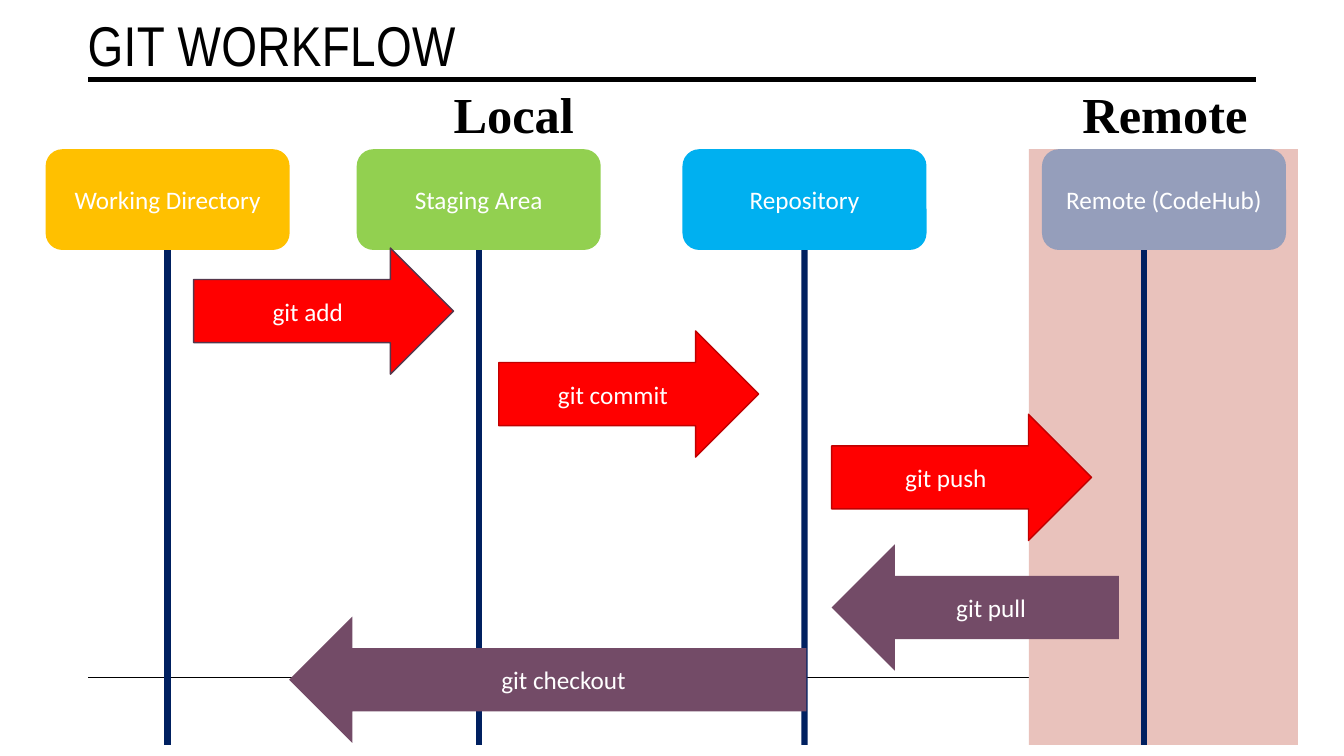
from lxml import etree
from pptx import Presentation
from pptx.dml.color import RGBColor
from pptx.enum.shapes import MSO_CONNECTOR, MSO_SHAPE
from pptx.enum.text import MSO_ANCHOR, PP_ALIGN
from pptx.oxml.ns import qn
from pptx.util import Cm, Pt

STRAIGHT = MSO_CONNECTOR.STRAIGHT
RECTANGLE = MSO_SHAPE.RECTANGLE
ROUNDED = MSO_SHAPE.ROUNDED_RECTANGLE
RIGHT_ARROW = MSO_SHAPE.RIGHT_ARROW
LEFT_ARROW = MSO_SHAPE.LEFT_ARROW
MIDDLE = MSO_ANCHOR.MIDDLE
CENTER = PP_ALIGN.CENTER
BOTTOM_SIDE = 2

COLORS = {
    "text": "000000",
    "label": "FFFFFF",
    "working": "FFC000",
    "staging": "92D050",
    "repository": "00B0F0",
    "remote": "959EBB",
    "remote_zone": "E9C2BC",
    "lifeline": "002060",
    "forward": "FF0000",
    "forward_edge": "C00000",
    "add_edge": "55374C",
    "backward": "734B67",
}

LANE_WIDTH, LANE_HEIGHT = 6.15, 2.54
ARROW_HEIGHT = 3.18

# label, colour, left, distance of the lifeline from the box's middle
LANES = [
    ("Working Directory", "working", 1.15, 0),
    ("Staging Area", "staging", 8.99, 0),
    ("Repository", "repository", 17.2, 0),
    ("Remote (CodeHub)", "remote", 26.26, -0.5),
]

# label, shape, fill, edge, left, top, width
COMMANDS = [
    ("git add", RIGHT_ARROW, "forward", "add_edge", 4.88, 6.25, 6.55),
    ("git commit", RIGHT_ARROW, "forward", "forward_edge", 12.57, 8.34, 6.55),
    ("git push", RIGHT_ARROW, "forward", "forward_edge", 20.96, 10.44, 6.55),
    ("git pull", LEFT_ARROW, "backward", None, 20.96, 13.72, 7.24),
    ("git checkout", LEFT_ARROW, "backward", None, 7.29, 15.54, 13.03),
]


def color(name):
    return RGBColor.from_string(COLORS[name])


def style_font(paragraph, name, size, color_name, bold=False):
    font = paragraph.font
    font.name, font.size, font.bold = name, Pt(size), bold
    font.color.rgb = color(color_name)


def add_line(slide, x1, y1, x2, y2, color_name, width):
    line = slide.shapes.add_connector(STRAIGHT, Cm(x1), Cm(y1), Cm(x2), Cm(y2))
    line.line.color.rgb = color(color_name)
    line.line.width = Pt(width)
    etree.SubElement(line._element.spPr, qn("a:effectLst"))
    return line


def add_box(slide, kind, left, top, width, height, fill, edge=None, label=None):
    """Add a filled shape with an optional outline and centred label."""
    shape = slide.shapes.add_shape(kind, Cm(left), Cm(top), Cm(width), Cm(height))
    shape.shadow.inherit = False
    shape.fill.solid()
    shape.fill.fore_color.rgb = color(fill)
    if edge:
        shape.line.color.rgb = color(edge)
        shape.line.width = Pt(1)
    else:
        shape.line.fill.background()
    if label:
        shape.text_frame.word_wrap = True
        shape.text_frame.vertical_anchor = MIDDLE
        paragraph = shape.text_frame.paragraphs[0]
        paragraph.text = label
        paragraph.alignment = CENTER
        style_font(paragraph, "Calibri", 18, "label")
    return shape


def add_text(slide, left, top, width, height, text, font, size, bold=False):
    box = slide.shapes.add_textbox(Cm(left), Cm(top), Cm(width), Cm(height))
    box.text_frame.word_wrap = True
    paragraph = box.text_frame.paragraphs[0]
    paragraph.text = text
    style_font(paragraph, font, size, "text", bold)
    return paragraph


def add_header(slide, left, top, width):
    title = add_text(slide, left, top + 0.15, width, 1.8,
                     "GIT WORKFLOW", "Arial Narrow", 40)
    title.runs[0]._r.get_or_add_rPr().set("spc", "30")
    rule_left, rule_right = left + 0.27, left + width
    add_line(slide, rule_left, top + 2, rule_right, top + 2, "text", 3.5)
    add_line(slide, rule_left, top + 17.07, rule_right, top + 17.07, "text", 1)


def add_lanes(slide, top, height):
    """Add the remote zone, then each lane's box with its lifeline."""
    add_box(slide, RECTANGLE, 25.93, top, 6.78, height, "remote_zone")
    for label, fill, left, offset in LANES:
        box = add_box(slide, ROUNDED, left, top, LANE_WIDTH, LANE_HEIGHT,
                      fill, label=label)
        x = left + LANE_WIDTH / 2 + offset
        lifeline = add_line(slide, x, top + LANE_HEIGHT, x, top + height,
                            "lifeline", 4.5)
        if not offset:
            lifeline.begin_connect(box, BOTTOM_SIDE)


def add_commands(slide):
    for label, kind, fill, edge, left, top, width in COMMANDS:
        add_box(slide, kind, left, top, width, ARROW_HEIGHT, fill, edge, label)


def add_headings(slide, top):
    for text, left, width in [("Local", 11.18, 6.15), ("Remote", 27.03, 5.11)]:
        add_text(slide, left, top, width, 1.8, text, "Times New Roman", 36, True)


def main():
    presentation = Presentation()
    presentation.slide_width, presentation.slide_height = Cm(33.87), Cm(19.05)
    slide = presentation.slides.add_slide(presentation.slide_layouts[6])
    add_header(slide, 1.96, 0, 29.69)
    add_lanes(slide, 3.76, 15.01)
    add_commands(slide)
    add_headings(slide, 1.98)
    presentation.save("out.pptx")


if __name__ == "__main__":
    main()
